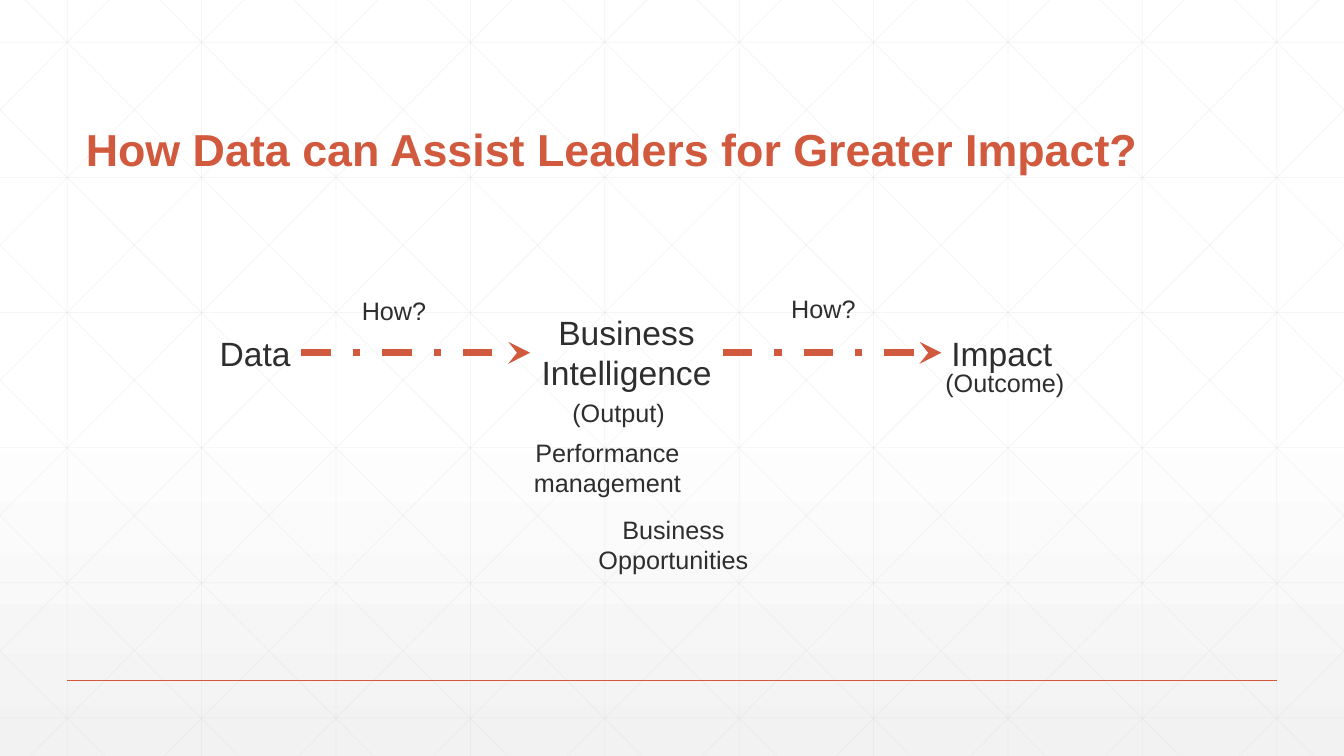
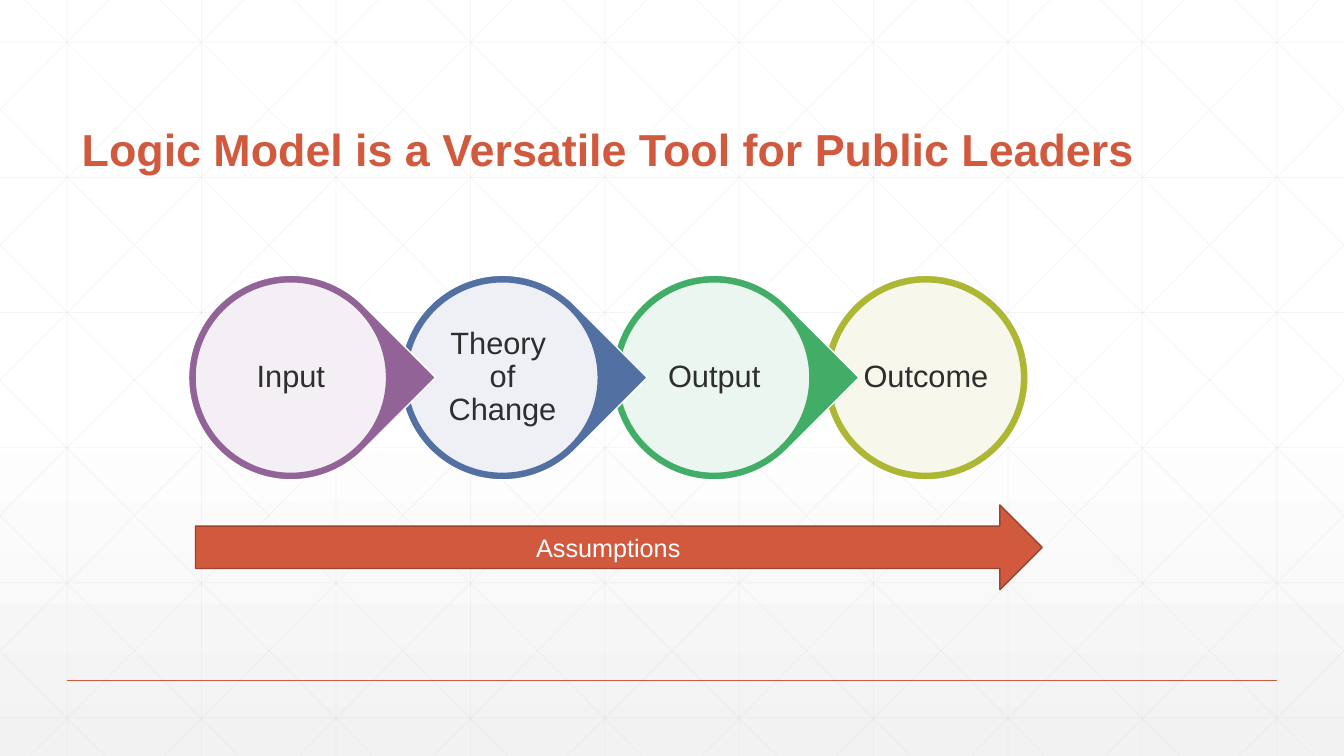
from lxml.etree import SubElement
from pptx import Presentation
from pptx.dml.color import RGBColor
from pptx.enum.dml import MSO_LINE
from pptx.enum.shapes import MSO_CONNECTOR, MSO_SHAPE as SHAPE
from pptx.enum.text import MSO_ANCHOR as ANCHOR, MSO_AUTO_SIZE as FIT, PP_ALIGN as ALIGN
from pptx.oxml.ns import qn
from pptx.util import Inches, Pt

COLORS = {
    "accent": "D15A3E", "accent_dark": "9B432E", "text": "2D2E2D",
    "white": "FFFFFF", "shade": "F2F2F2", "grid": "D9D9D9",
    "input": "926397", "theory": "5270A2", "output": "42AD67", "outcome": "AEB733",
}
RGB = {name: RGBColor.from_string(value) for name, value in COLORS.items()}
FONT = "Arial"

prs = Presentation()
prs.slide_width, prs.slide_height = Inches(13.333), Inches(7.5)
COL, ROW = prs.slide_width / 100, prs.slide_height / 100


def draw_line(slide, x0, y0, x1, y1, color, width):
    line = slide.shapes.add_connector(
        MSO_CONNECTOR.STRAIGHT, int(x0 * COL), int(y0 * ROW), int(x1 * COL), int(y1 * ROW))
    line.line.color.rgb = RGB[color]
    line.line.width = Pt(width)
    SubElement(line.element.spPr, qn("a:effectLst"))
    return line


def write(frame, text, size, color="text", align=ALIGN.CENTER, spacing=None):
    frame.text = text
    for paragraph in frame.paragraphs:
        paragraph.alignment = align
        paragraph.line_spacing = spacing
        for run in paragraph.runs:
            run.font.name = FONT
            run.font.size = Pt(size)
            run.font.color.rgb = RGB[color]


master = prs.slide_master
title_only = prs.slide_layouts[5]

backdrop = master.background.fill
backdrop.gradient()
backdrop.gradient_angle = 270
stops = next(master.element.iter(qn("a:gsLst")))
stops.clear()
for position, color, opacity in ((0, "white", 100), (53, "white", 100), (100, "shade", 65)):
    stop = SubElement(stops, qn("a:gs"), pos=str(position * 1000))
    tint = SubElement(stop, qn("a:srgbClr"), val=COLORS[color])
    SubElement(tint, qn("a:alpha"), val=str(opacity * 1000))

for title in (master.placeholders[0], title_only.placeholders[0]):
    title.text_frame.vertical_anchor = ANCHOR.BOTTOM
    title.text_frame.auto_size = FIT.NONE

logic_chain = prs.slides.add_slide(title_only)
logic_model = prs.slides.add_slide(title_only)

grid = [(5 + 10 * i, 0, 5 + 10 * i, 100) for i in range(10)]
grid += [(0, 5.6 + 17.87 * i, 100, 5.6 + 17.87 * i) for i in range(6)]
RUN = 55.9
for i in range(-5, 10):
    top = 1.88 + 10 * i
    left, right = max(0, top), min(100, top + RUN)
    upper, lower = ((x - top) / RUN * 100 for x in (left, right))
    grid += [(left, upper, right, lower), (100 - left, upper, 100 - right, lower)]

backdrop_lines = []
for ends in grid:
    thread = draw_line(logic_chain, *ends, "grid", 0.5)
    SubElement(next(thread.element.iter(qn("a:srgbClr"))), qn("a:alpha"), val="25000")
    backdrop_lines.append(thread)
backdrop_lines.append(draw_line(logic_chain, 5, 90, 95, 90, "accent", 1))
for offset, line in enumerate(backdrop_lines):
    master.shapes.element.insert(2 + offset, line.element)

for slide, heading, left, width in (
    (logic_chain, "How Data can Assist Leaders for Greater Impact?", 5.63, 89.55),
    (logic_model, "Logic Model is a Versatile Tool for Public Leaders", 5.33, 84.08),
):
    title = slide.shapes.title
    title.left, title.top = int(left * COL), int(7.33 * ROW)
    title.width, title.height = int(width * COL), int(16.67 * ROW)
    write(title.text_frame, heading, 32, "accent", ALIGN.LEFT, 0.9)
    title.text_frame.paragraphs[0].runs[0].font.bold = True

stages = []
for text, size, align, left, top, width, height in (
    ("Data", 24, ALIGN.LEFT, 15.6, 43.33, 6.83, 6.67),
    ("Business\vIntelligence", 24, ALIGN.CENTER, 39.45, 40.6, 14.33, 12.13),
    ("Impact", 24, ALIGN.LEFT, 70.05, 43.33, 9.08, 6.67),
    ("How?", 18, ALIGN.LEFT, 26.18, 38.4, 6.38, 5.33),
    ("How?", 18, ALIGN.LEFT, 58.13, 38.13, 6.38, 5.33),
    ("(Outcome)", 18, ALIGN.LEFT, 69.6, 47.87, 10.43, 5.33),
    ("(Output)", 18, ALIGN.LEFT, 41.85, 51.87, 8.48, 5.33),
    ("Performance\nmanagement", 18, ALIGN.CENTER, 38.93, 57.2, 12.53, 9.47),
    ("Business\vOpportunities", 18, ALIGN.CENTER, 43.73, 67.33, 12.75, 9.47),
):
    label = logic_chain.shapes.add_textbox(
        int(left * COL), int(top * ROW), int(width * COL), int(height * ROW))
    label.text_frame.word_wrap = False
    label.text_frame.auto_size = FIT.SHAPE_TO_FIT_TEXT
    write(label.text_frame, text, size, align=align)
    if size == 24:
        stages.append(label)

for source, target in zip(stages, stages[1:]):
    step = draw_line(logic_chain, (source.left + source.width) / COL, 46.67,
                     target.left / COL, 46.67, "accent", 5.25)
    step.begin_connect(source, 3)
    step.end_connect(target, 1)
    step.line.dash_style = MSO_LINE.DASH_DOT
    SubElement(step.element.spPr.find(qn("a:ln")), qn("a:tailEnd"), type="stealth")

phases = [("Input", "input"), ("Theory \vof Change", "theory"),
          ("Output", "output"), ("Outcome", "outcome")]
for i, (text, color) in reversed(list(enumerate(phases))):
    center, middle = (21.64 + 15.75 * i) * COL, 49.95 * ROW
    outer, inner, core = (
        (int(center - size * COL / 2), int(middle - size * COL / 2), int(size * COL), int(size * COL))
        for size in (15.23, 14.25, 10.13))
    last = i == len(phases) - 1
    drop = logic_model.shapes.add_shape(SHAPE.OVAL if last else SHAPE.TEAR, *outer)
    drop.rotation = 0 if last else 45
    disc = logic_model.shapes.add_shape(SHAPE.OVAL, *inner)
    for layer, fill, outline in ((drop, color, "white"), (disc, "white", color)):
        layer.shadow.inherit = False
        layer.fill.solid()
        layer.fill.fore_color.rgb = RGB[fill]
        layer.line.color.rgb = RGB[outline]
        layer.line.width = Pt(1)
    SubElement(next(disc.element.spPr.iter(qn("a:srgbClr"))), qn("a:alpha"), val="90000")
    phase = logic_model.shapes.add_textbox(*core).text_frame
    phase.word_wrap = True
    phase.vertical_anchor = ANCHOR.MIDDLE
    phase.margin_left = phase.margin_right = phase.margin_top = phase.margin_bottom = Inches(0.03)
    write(phase, text, 22, spacing=0.9)

assumptions = logic_model.shapes.add_shape(
    SHAPE.RIGHT_ARROW, int(14.55 * COL), int(66.8 * ROW), int(63 * COL), int(11.2 * ROW))
assumptions.shadow.inherit = False
assumptions.fill.solid()
assumptions.fill.fore_color.rgb = RGB["accent"]
assumptions.line.color.rgb = RGB["accent_dark"]
assumptions.line.width = Pt(1)
assumptions.text_frame.vertical_anchor = ANCHOR.MIDDLE
write(assumptions.text_frame, "Assumptions", 18, "white")

prs.save("out.pptx")
